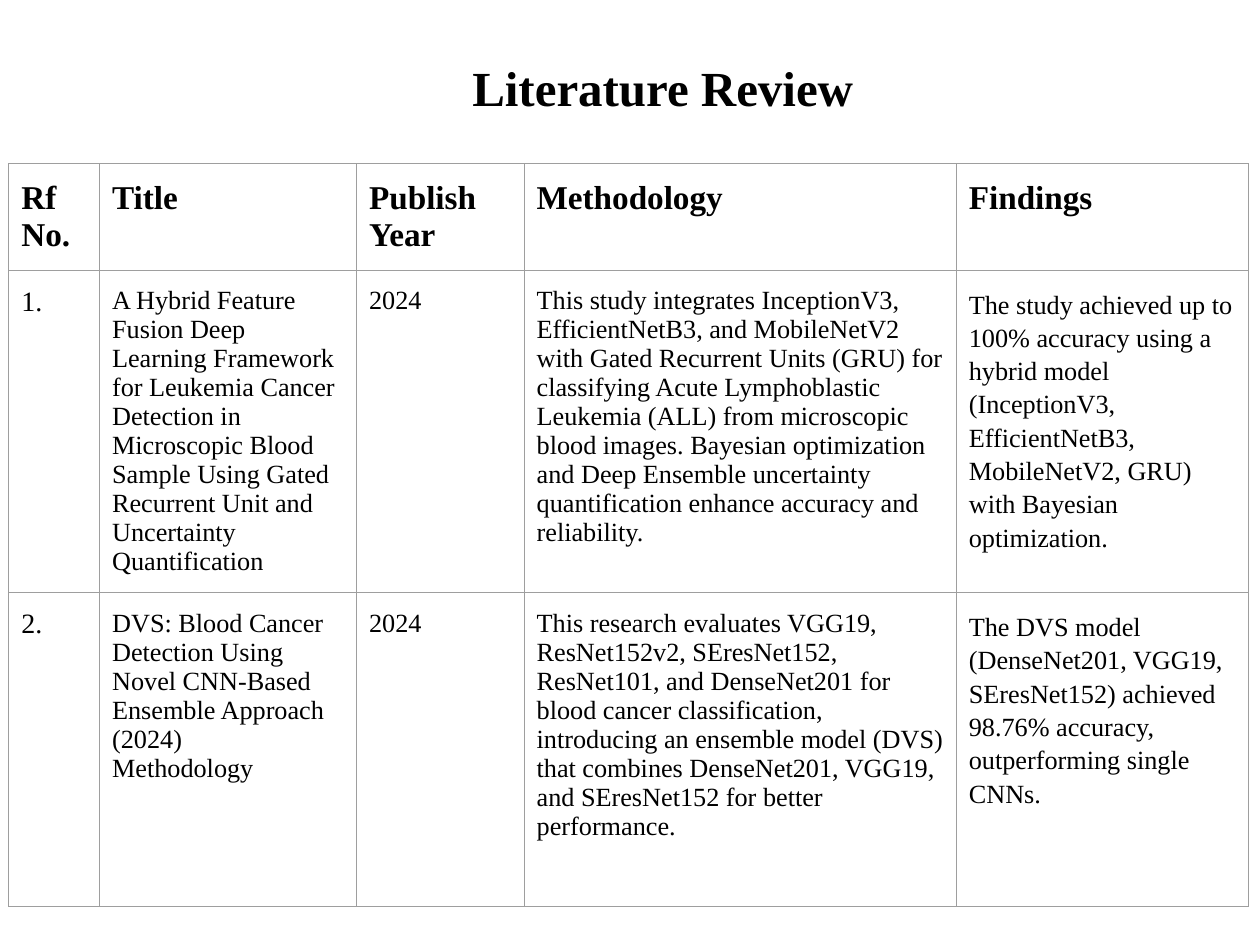
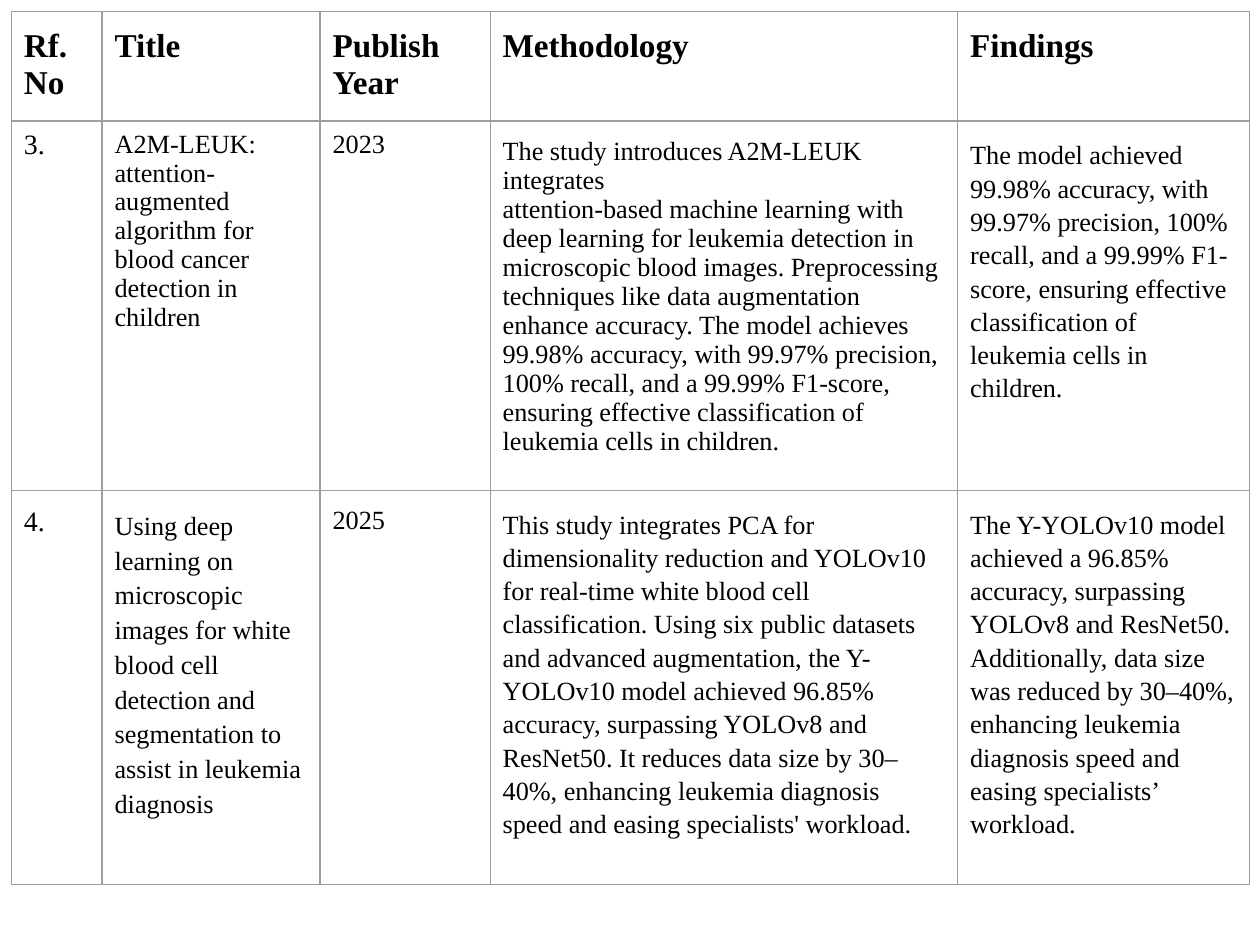
from dataclasses import dataclass

from lxml import etree
from pptx import Presentation
from pptx import util as u
from pptx.dml.color import RGBColor
from pptx.enum import text
from pptx.oxml import ns

EMU_PER_PX = 9144


@dataclass(frozen=True)
class Theme:
    """Colours, type sizes and cell margins shared by the slides."""
    font: str = "Times New Roman"
    ink: str = "000000"
    rule: str = "9E9E9E"
    rule_width: float = 0.75
    title_size: int = 28
    header_size: int = 19
    number_size: int = 16
    body_size: int = 15
    side_margin: int = 10
    cell_margin: int = 13
    tight_margin: int = 7


@dataclass(frozen=True)
class Entry:
    """Text of one table cell and its paragraph spacing."""
    words: str
    line: float = 1.0
    before: int = 0
    after: int = 0
    tight: bool = False


@dataclass(frozen=True)
class Review:
    """A table of reviewed papers, with lengths in px."""
    left: int
    top: int
    columns: tuple[int, ...]
    rows: tuple[int, ...]
    number_heading: str
    papers: tuple[tuple[Entry, ...], ...]
    title: str = ""


THEME = Theme()
HEADINGS = ("Title", "Publish Year", "Methodology", "Findings")

REVIEWS = (
    Review(
        7, 130, (72, 204, 133, 343, 232), (81, 240, 249), "Rf No.",
        (
            (
                Entry("1."),
                Entry("A Hybrid Feature Fusion Deep Learning Framework for Leukemia "
                      "Cancer Detection in Microscopic Blood Sample Using Gated "
                      "Recurrent Unit and Uncertainty Quantification"),
                Entry("2024"),
                Entry("This study integrates InceptionV3, EfficientNetB3, and "
                      "MobileNetV2 with Gated Recurrent Units (GRU) for classifying "
                      "Acute Lymphoblastic Leukemia (ALL) from microscopic blood "
                      "images. Bayesian optimization and Deep Ensemble uncertainty "
                      "quantification enhance accuracy and reliability."),
                Entry("The study achieved up to 100% accuracy using a hybrid model "
                      "(InceptionV3, EfficientNetB3, MobileNetV2, GRU) with Bayesian "
                      "optimization.", line=1.15, before=12, after=12),
            ),
            (
                Entry("2."),
                Entry("DVS: Blood Cancer Detection Using Novel CNN-Based Ensemble "
                      "Approach (2024)\nMethodology"),
                Entry("2024"),
                Entry("This research evaluates VGG19, ResNet152v2, SEresNet152, "
                      "ResNet101, and DenseNet201 for blood cancer classification, "
                      "introducing an ensemble model (DVS) that combines DenseNet201, "
                      "VGG19, and SEresNet152 for better performance."),
                Entry("The DVS model (DenseNet201, VGG19, SEresNet152) achieved 98.76% "
                      "accuracy, outperforming single CNNs.", line=1.15, before=12),
            ),
        ),
        title="Literature Review",
    ),
    Review(
        9, 9, (72, 173, 135, 371, 232), (87, 293, 313), "Rf. No",
        (
            (
                Entry("3.", tight=True),
                Entry("A2M-LEUK: attention-augmented algorithm for blood cancer "
                      "detection in children", tight=True),
                Entry("2023", tight=True),
                Entry("The study introduces A2M-LEUK integrates\n"
                      "attention-based machine learning with deep learning for leukemia "
                      "detection in microscopic blood images. Preprocessing techniques "
                      "like data augmentation enhance accuracy. The model achieves "
                      "99.98% accuracy, with 99.97% precision, 100% recall, and a "
                      "99.99% F1-score, ensuring effective classification of leukemia "
                      "cells in children."),
                Entry("The model achieved 99.98% accuracy, with 99.97% precision, 100% "
                      "recall, and a 99.99% F1-score, ensuring effective classification "
                      "of leukemia cells in children.", line=1.15, before=16),
            ),
            (
                Entry("4."),
                Entry("Using deep learning on microscopic images for white blood cell "
                      "detection and segmentation to assist in leukemia diagnosis",
                      line=1.2),
                Entry("2025"),
                Entry("This study integrates PCA for dimensionality reduction and "
                      "YOLOv10 for real-time white blood cell classification. Using six "
                      "public datasets and advanced augmentation, the Y-YOLOv10 model "
                      "achieved 96.85% accuracy, surpassing YOLOv8 and ResNet50. It "
                      "reduces data size by 30–40%, enhancing leukemia diagnosis speed "
                      "and easing specialists' workload.", line=1.15),
                Entry("The Y-YOLOv10 model achieved a 96.85% accuracy, surpassing "
                      "YOLOv8 and ResNet50. Additionally, data size was reduced by "
                      "30–40%, enhancing leukemia diagnosis speed and easing "
                      "specialists’ workload.", line=1.15, before=16),
            ),
        ),
    ),
)


def px(length: int) -> u.Emu:
    """Turn px into EMU."""
    return u.Emu(length * EMU_PER_PX)


def style_text(frame, size: int, bold: bool) -> None:
    """Format every run of a text frame."""
    for para in frame.paragraphs:
        for span in para.runs:
            span.font.name = THEME.font
            span.font.size = u.Pt(size)
            span.font.bold = bold
            span.font.color.rgb = RGBColor.from_string(THEME.ink)


def set_margins(area, side: int, end: int) -> None:
    """Set the inner margins of a cell or text frame."""
    area.margin_left = area.margin_right = px(side)
    area.margin_top = area.margin_bottom = px(end)


def draw_title(page, words: str) -> None:
    """Place and format the title placeholder."""
    box = page.shapes.title
    box.left, box.top, box.width, box.height = map(px, (60, 34, 932, 70))
    frame = box.text_frame
    frame.text = words
    frame.auto_size = text.MSO_AUTO_SIZE.NONE
    frame.vertical_anchor = text.MSO_ANCHOR.MIDDLE
    frame.paragraphs[0].alignment = text.PP_ALIGN.CENTER
    set_margins(frame, THEME.side_margin, THEME.side_margin)
    style_text(frame, THEME.title_size, True)


def add_borders(cell) -> None:
    """Rule all four sides of a cell."""
    properties = cell._tc.get_or_add_tcPr()
    for position, side in enumerate(("lnL", "lnR", "lnT", "lnB")):
        line = etree.Element(ns.qn(f"a:{side}"), w=str(u.Pt(THEME.rule_width)))
        fill = etree.SubElement(line, ns.qn("a:solidFill"))
        etree.SubElement(fill, ns.qn("a:srgbClr"), val=THEME.rule)
        properties.insert(position, line)


def fill_cell(cell, entry: Entry, size: int, bold: bool) -> None:
    """Write one entry into a plain ruled cell."""
    frame = cell.text_frame
    frame.text = entry.words
    for para in frame.paragraphs:
        para.line_spacing = entry.line
        para.space_before = u.Pt(entry.before)
        para.space_after = u.Pt(entry.after)
    style_text(frame, size, bold)
    end = THEME.tight_margin if entry.tight else THEME.cell_margin
    set_margins(cell, THEME.side_margin, end)
    cell.fill.background()
    add_borders(cell)


def draw_table(page, review: Review) -> None:
    """Draw the headings and papers of a review."""
    bounds = map(px, (review.left, review.top, sum(review.columns), sum(review.rows)))
    table = page.shapes.add_table(len(review.rows), len(review.columns), *bounds).table
    table.first_row = table.horz_banding = False
    for column, width in zip(table.columns, review.columns):
        column.width = px(width)
    for row, height in zip(table.rows, review.rows):
        row.height = px(height)
    header = tuple(Entry(words) for words in (review.number_heading, *HEADINGS))
    for row_index, entries in enumerate((header, *review.papers)):
        for column_index, entry in enumerate(entries):
            is_header = row_index == 0
            if is_header:
                size = THEME.header_size
            else:
                size = THEME.body_size if column_index else THEME.number_size
            fill_cell(table.cell(row_index, column_index), entry, size, is_header)


def main() -> None:
    """Build the deck and save it."""
    deck = Presentation()
    deck.slide_width, deck.slide_height = px(1000), px(750)
    title_only, blank = deck.slide_layouts[5], deck.slide_layouts[6]
    for review in REVIEWS:
        page = deck.slides.add_slide(title_only if review.title else blank)
        if review.title:
            draw_title(page, review.title)
        draw_table(page, review)
    deck.save("out.pptx")


if __name__ == "__main__":
    main()
